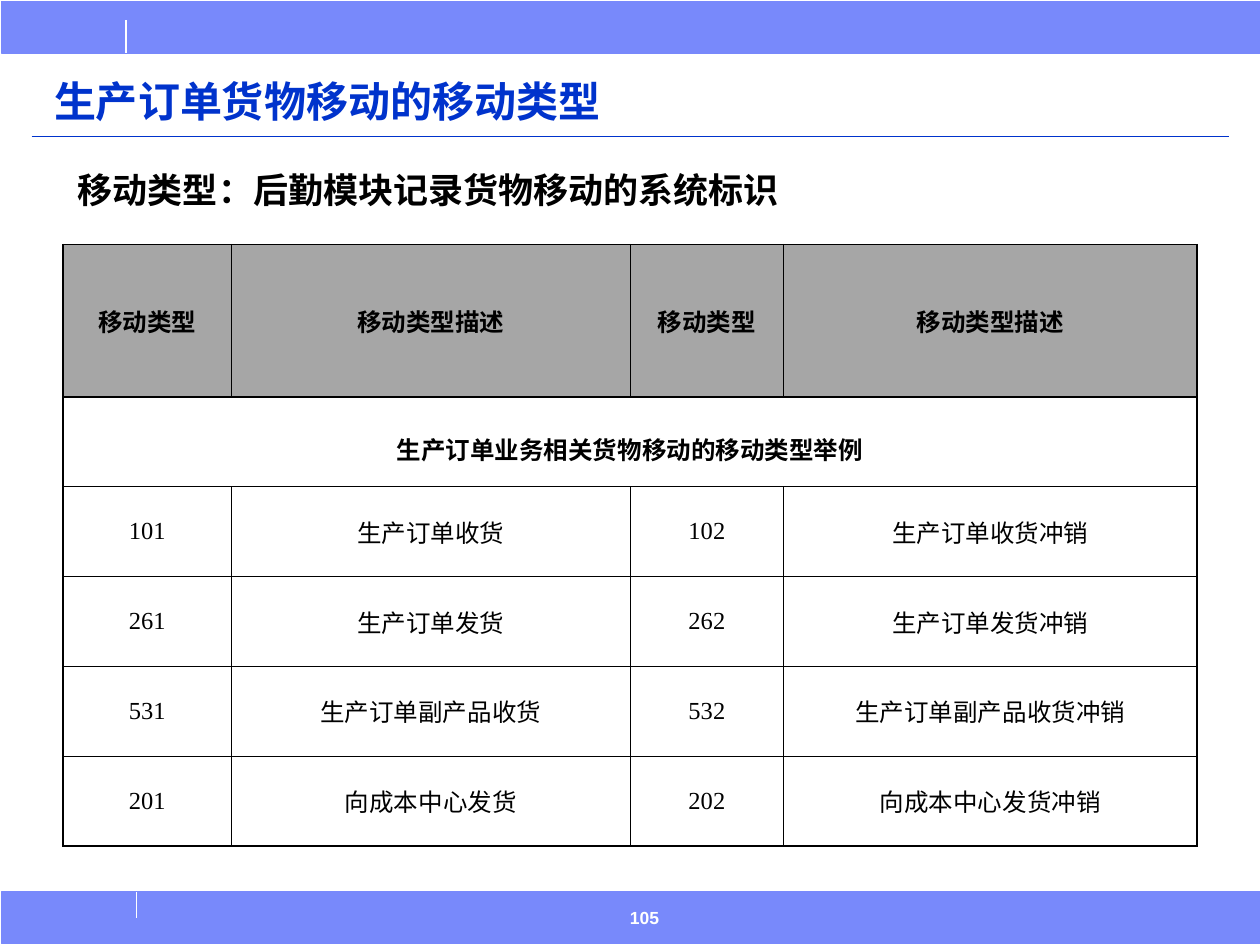
from lxml import etree
from pptx import Presentation
from pptx.dml.color import RGBColor
from pptx.enum.shapes import MSO_CONNECTOR, MSO_SHAPE
from pptx.enum.text import MSO_ANCHOR as ANCHOR, PP_ALIGN as ALIGN
from pptx.oxml.ns import qn
from pptx.util import Cm, Pt

BAND_BLUE = RGBColor(0x78, 0x89, 0xFB)
TITLE_BLUE = RGBColor(0x00, 0x33, 0xCC)
HEADER_GRAY = RGBColor(0xA6, 0xA6, 0xA6)
WHITE = RGBColor(0xFF, 0xFF, 0xFF)
BLACK = RGBColor(0x00, 0x00, 0x00)

THICK, THIN = Pt(0.96), Pt(0.45)


def add_run(paragraph, text, size, color, bold=True, font="Times New Roman"):
    run = paragraph.add_run()
    run.text = text
    run.font.size = Pt(size)
    run.font.name = font
    run.font.bold = bold
    run.font.color.rgb = color


def set_border(cell, side, width):
    """Draw one black cell edge; side is L, R, T or B, set in that order."""
    edge = etree.SubElement(cell._tc.get_or_add_tcPr(), qn(f"a:ln{side}"), w=str(width))
    fill = etree.SubElement(edge, qn("a:solidFill"))
    etree.SubElement(fill, qn("a:srgbClr"), val=str(BLACK))


prs = Presentation()
prs.slide_width, prs.slide_height = Cm(25.4), Cm(19.05)
slide = prs.slides.add_slide(prs.slide_layouts[6])
shapes = slide.shapes

# Bands at the top and bottom
for band_top in (0.03, 17.98):
    band = shapes.add_shape(
        MSO_SHAPE.RECTANGLE, Cm(0.03), Cm(band_top), Cm(25.37), Cm(1.04))
    band.shadow.inherit = False
    band.fill.solid()
    band.fill.fore_color.rgb = BAND_BLUE
    band.line.color.rgb = BAND_BLUE
    band.line.width = Pt(1)

# Band ticks and the rule under the title
for x1, y1, x2, y2, color in (
    (2.54, 0.41, 2.54, 1.07, WHITE),
    (2.75, 17.98, 2.75, 18.51, WHITE),
    (0.64, 2.75, 24.77, 2.75, TITLE_BLUE),
):
    rule = shapes.add_connector(
        MSO_CONNECTOR.STRAIGHT, Cm(x1), Cm(y1), Cm(x2), Cm(y2))
    rule.line.color.rgb = color
    rule.line.width = Pt(1)
    etree.SubElement(rule._element.spPr, qn("a:effectLst"))

# Title, subtitle and page number
for left, top, width, height, anchor, spacing, text, size, color, font in (
    (0.84, 1.27, 23.32, 1.4, ANCHOR.BOTTOM, 0.9,
     "生产订单货物移动的移动类型", 24, TITLE_BLUE, "Times New Roman"),
    (1.32, 3.28, 15.85, 1.12, ANCHOR.TOP, 1.0,
     "移动类型：后勤模块记录货物移动的系统标识", 20, BLACK, "Times New Roman"),
    (12.45, 18.16, 2.11, 0.89, ANCHOR.TOP, 1.0, "105", 10, WHITE, "Arial"),
):
    frame = shapes.add_textbox(Cm(left), Cm(top), Cm(width), Cm(height)).text_frame
    frame.word_wrap = True
    frame.vertical_anchor = anchor
    line = frame.paragraphs[0]
    line.line_spacing = spacing
    add_run(line, text, size, color, font=font)

# Table of movement types
movement_rows = [
    ("移动类型", "移动类型描述", "移动类型", "移动类型描述"),
    ("生产订单业务相关货物移动的移动类型举例", "", "", ""),
    ("101", "生产订单收货", "102", "生产订单收货冲销"),
    ("261", "生产订单发货", "262", "生产订单发货冲销"),
    ("531", "生产订单副产品收货", "532", "生产订单副产品收货冲销"),
    ("201", "向成本中心发货", "202", "向成本中心发货冲销"),
]
column_widths = (3.4, 8.03, 3.1, 8.33)
row_heights = [3.07] + [1.81] * 5
last_row, last_column = len(row_heights) - 1, len(column_widths) - 1

movements = shapes.add_table(
    len(row_heights), len(column_widths), Cm(1.27), Cm(4.93),
    Cm(sum(column_widths)), Cm(sum(row_heights))).table
movements.first_row = False
movements.horz_banding = False
for column, width in zip(movements.columns, column_widths):
    column.width = Cm(width)
for row, height in zip(movements.rows, row_heights):
    row.height = Cm(height)
movements.cell(1, 0).merge(movements.cell(1, last_column))

for r, texts in enumerate(movement_rows):
    for c, text in enumerate(texts):
        cell = movements.cell(r, c)
        if cell.is_spanned:
            continue
        set_border(cell, "L", THICK if c == 0 else THIN)
        set_border(cell, "R", THICK if c == last_column or r == 1 else THIN)
        set_border(cell, "T", THICK if r <= 1 else THIN)
        set_border(cell, "B", THICK if r in (0, last_row) else THIN)
        if r == 0:
            cell.fill.solid()
            cell.fill.fore_color.rgb = HEADER_GRAY
        else:
            cell.fill.background()
        cell.vertical_anchor = ANCHOR.MIDDLE
        if r == 1:
            cell.margin_top = Cm(0.4)
        entry = cell.text_frame.paragraphs[0]
        entry.alignment = ALIGN.CENTER
        add_run(entry, text, 14, BLACK, bold=r <= 1)

prs.save("out.pptx")
